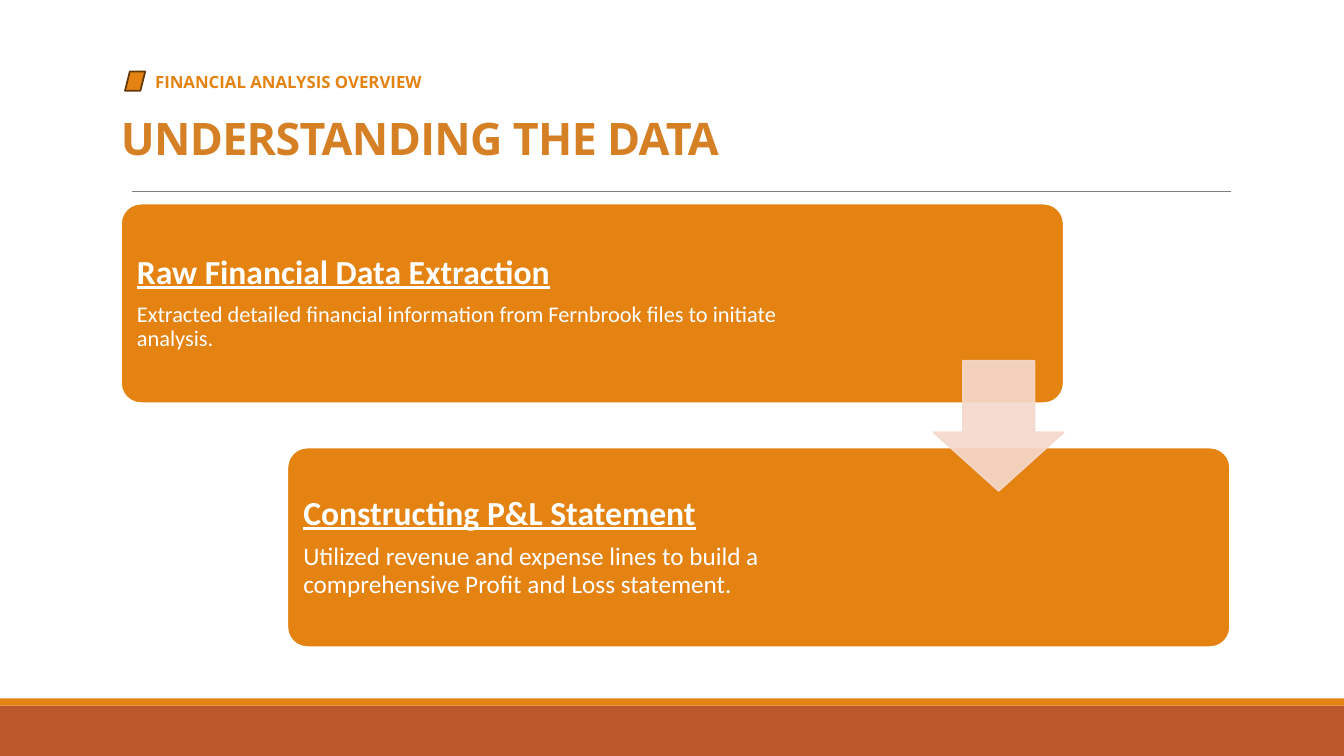
from dataclasses import dataclass

from lxml import etree
from pptx import Presentation
from pptx.dml.color import RGBColor
from pptx.enum.shapes import MSO_CONNECTOR, MSO_SHAPE
from pptx.enum.text import MSO_ANCHOR as Anchor
from pptx.oxml.ns import qn
from pptx.shapes.autoshape import Shape
from pptx.slide import Slide
from pptx.text.text import _Paragraph as Paragraph
from pptx.util import Inches, Pt

ORANGE = RGBColor(0xE4, 0x83, 0x12)
RUST = RGBColor(0xBD, 0x58, 0x2C)
TITLE_ORANGE = RGBColor(0xD5, 0x80, 0x25)
BROWN = RGBColor(0x64, 0x39, 0x08)
PEACH = RGBColor(0xF5, 0xD9, 0xCC)
GRAY = RGBColor(0x80, 0x80, 0x80)
WHITE = RGBColor(0xFF, 0xFF, 0xFF)

SLIDE_WIDTH, SLIDE_HEIGHT = 13.33, 7.5
CARD_WIDTH, CARD_HEIGHT = 9.35, 1.98
CARD_LEFT, CARD_TOP = 1.2, 2.02
CARD_STEP_X, CARD_STEP_Y = 1.65, 2.42
CARD_PADDING = 0.06

Box = tuple[float, float, float, float]


@dataclass(frozen=True)
class Card:
    heading: str
    body: str
    body_size: int
    text_width: float


CARDS = [
    Card("Raw Financial Data Extraction",
         "Extracted detailed financial information from Fernbrook files to initiate analysis.",
         16, 7.3),
    Card("Constructing P&L Statement",
         "Utilized revenue and expense lines to build a comprehensive Profit and Loss statement.",
         18, 6.3),
]

TITLE_FORMAT = {"name": "Open Sans", "size": Pt(32), "bold": True}
LABEL_FORMAT = {"name": "Open Sans", "size": Pt(12), "bold": True}
HEADING_FORMAT = {"name": "Calibri", "size": Pt(24), "bold": True, "underline": True}
BODY_FORMAT = {"name": "Calibri"}


def add_block(slide: Slide, kind: MSO_SHAPE, box: Box, fill: RGBColor,
              line: RGBColor | None = None, adjustments: tuple[float, ...] = ()) -> Shape:
    shape = slide.shapes.add_shape(kind, *map(Inches, box))
    shape.shadow.inherit = False
    shape.fill.solid()
    shape.fill.fore_color.rgb = fill
    if line is None:
        shape.line.fill.background()
    else:
        shape.line.color.rgb = line
        shape.line.width = Pt(1.25)
    for index, value in enumerate(adjustments):
        shape.adjustments[index] = value
    return shape


def add_text_box(slide: Slide, box: Box, anchor: Anchor) -> Shape:
    text_box = slide.shapes.add_textbox(*map(Inches, box))
    text_box.text_frame.word_wrap = True
    text_box.text_frame.vertical_anchor = anchor
    return text_box


def write(paragraph: Paragraph, text: str, color: RGBColor, font_format: dict,
          **paragraph_format: object) -> None:
    run = paragraph.add_run()
    run.text = text
    run.font.color.rgb = color
    for name, value in font_format.items():
        setattr(run.font, name, value)
    for name, value in paragraph_format.items():
        setattr(paragraph, name, value)


def set_opacity(shape: Shape, percent: int) -> None:
    """Apply one opacity to both the fill and the outline."""
    for color in shape.element.spPr.iter(qn("a:srgbClr")):
        etree.SubElement(color, qn("a:alpha"), val=str(percent * 1000))


def add_footer_and_rule(slide: Slide) -> None:
    add_block(slide, MSO_SHAPE.RECTANGLE, (0, 7, SLIDE_WIDTH, 0.5), RUST)
    add_block(slide, MSO_SHAPE.RECTANGLE, (0, 6.93, SLIDE_WIDTH, 0.07), ORANGE)
    rule = slide.shapes.add_connector(
        MSO_CONNECTOR.STRAIGHT, *map(Inches, (1.31, 1.9, 12.21, 1.9)))
    rule.line.color.rgb = GRAY
    rule.line.width = Pt(0.5)
    etree.SubElement(rule.element.spPr, qn("a:effectLst"))


def add_header(slide: Slide) -> None:
    title = add_text_box(slide, (1.1, 1.08, 11.1, 0.6), Anchor.BOTTOM)
    paragraph = title.text_frame.paragraphs[0]
    write(paragraph, "UNDERSTANDING THE DATA", TITLE_ORANGE, TITLE_FORMAT, line_spacing=0.85)
    for properties in title.element.iter(qn("a:rPr")):
        properties.set("spc", "-50")

    label = add_text_box(slide, (1.44, 0.66, 6.67, 0.3), Anchor.TOP)
    write(label.text_frame.paragraphs[0], "FINANCIAL ANALYSIS OVERVIEW", ORANGE, LABEL_FORMAT)
    add_block(slide, MSO_SHAPE.PARALLELOGRAM, (1.24, 0.71, 0.2, 0.19), ORANGE, BROWN)


def add_card(slide: Slide, card: Card, left: float, top: float) -> None:
    add_block(slide, MSO_SHAPE.ROUNDED_RECTANGLE, (left, top, CARD_WIDTH, CARD_HEIGHT),
              ORANGE, WHITE, (0.1,))
    text_box = add_text_box(
        slide, (left + CARD_PADDING, top + CARD_PADDING,
                card.text_width, CARD_HEIGHT - 2 * CARD_PADDING), Anchor.MIDDLE)
    frame = text_box.text_frame
    for side in ("left", "top", "right", "bottom"):
        setattr(frame, f"margin_{side}", Inches(0.1))
    write(frame.paragraphs[0], card.heading, WHITE, HEADING_FORMAT,
          line_spacing=0.9, space_after=Pt(8.4))
    write(frame.add_paragraph(), card.body, WHITE,
          BODY_FORMAT | {"size": Pt(card.body_size)}, line_spacing=0.9)


def main() -> None:
    presentation = Presentation()
    presentation.slide_width = Inches(SLIDE_WIDTH)
    presentation.slide_height = Inches(SLIDE_HEIGHT)
    slide = presentation.slides.add_slide(presentation.slide_layouts[6])

    add_footer_and_rule(slide)
    add_header(slide)
    for index, card in enumerate(CARDS):
        add_card(slide, card, CARD_LEFT + index * CARD_STEP_X, CARD_TOP + index * CARD_STEP_Y)
    arrow = add_block(slide, MSO_SHAPE.DOWN_ARROW, (9.26, 3.58, 1.29, 1.29),
                      PEACH, PEACH, (0.55, 0.45))
    set_opacity(arrow, 90)

    presentation.save("out.pptx")


if __name__ == "__main__":
    main()
